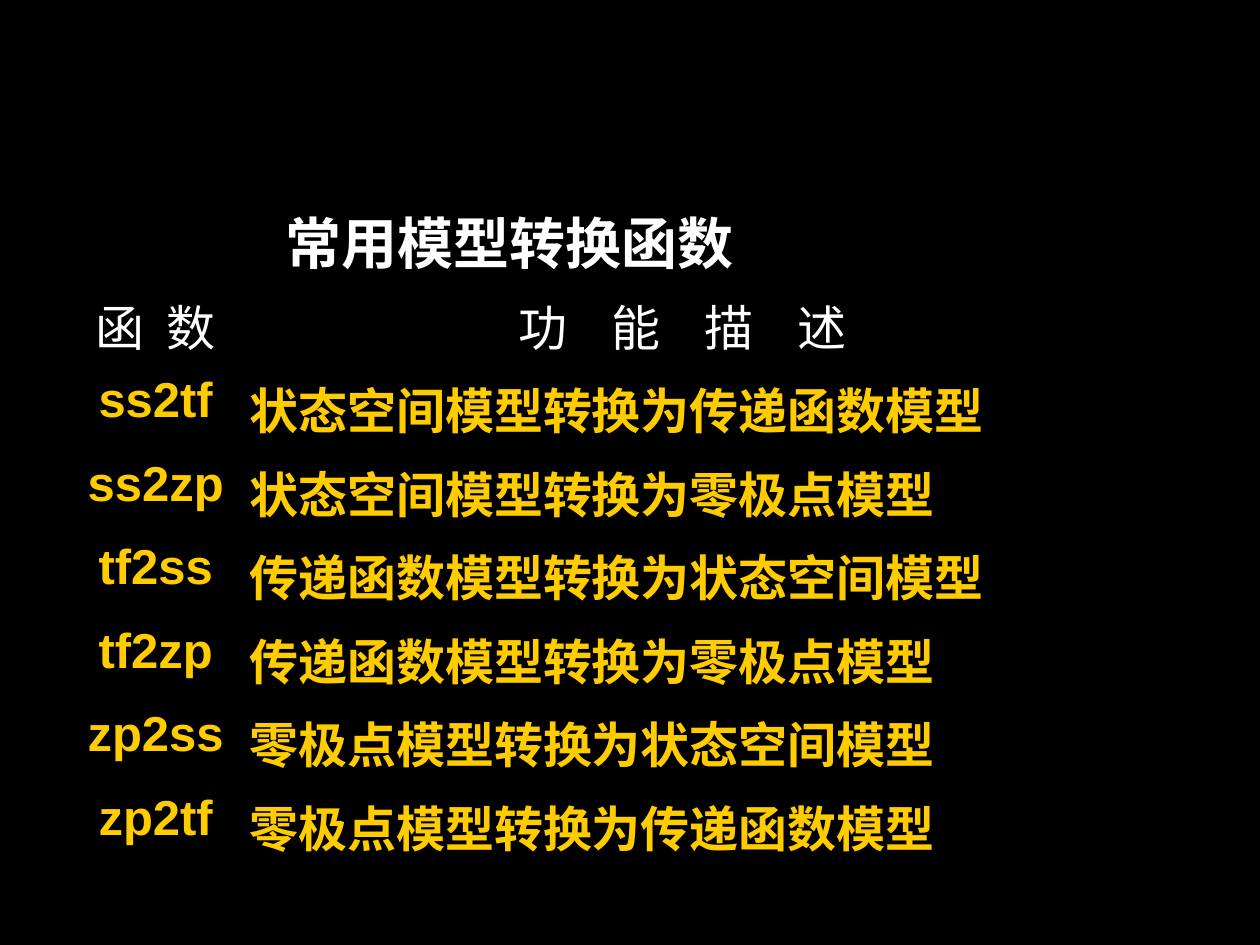
from lxml.etree import SubElement as Sub
from pptx import Presentation
from pptx.dml.color import RGBColor
from pptx.enum.text import PP_ALIGN as Align
from pptx.oxml.ns import qn
from pptx.util import Inches, Pt

TITLE = "常用模型转换函数"
HEAD = [("函 数", 3.1, 0.1), ("功 能 描 述", 9.5, 0.19)]
ROWS = [
    ("ss2tf", "状态空间模型转换为传递函数模型"),
    ("ss2zp", "状态空间模型转换为零极点模型"),
    ("tf2ss", "传递函数模型转换为状态空间模型"),
    ("tf2zp", "传递函数模型转换为零极点模型"),
    ("zp2ss", "零极点模型转换为状态空间模型"),
    ("zp2tf", "零极点模型转换为传递函数模型"),
]
WIDTHS = [1.29, 7.16]
HEIGHT = 4.64
BLACK, WHITE, GOLD = "000000", "FFFFFF", "FFCC00"
THICK, THIN = 1.08, 0.45


def color(code):
    return RGBColor.from_string(code)


def write(frame, text, size, code, bold, before, align, track=0):
    """Fill a text frame with one styled paragraph."""
    frame.word_wrap = True
    para = frame.paragraphs[0]
    para.alignment = align
    para.space_before = Pt(before)
    font = para.font
    font.name, font.size, font.bold = "Arial", Pt(size), bold
    font.color.rgb = color(code)
    run = para.add_run()
    run.text = text
    if track:
        run._r.get_or_add_rPr().set("spc", str(round(track * 100)))
    return para


def border(cell, sides):
    """Draw the four cell borders, given as side and width pairs."""
    props = cell._tc.get_or_add_tcPr()
    for side, width in sides:
        line = Sub(props, qn(f"a:ln{side}"), w=str(Pt(width)))
        fill = Sub(line, qn("a:solidFill"))
        Sub(fill, qn("a:srgbClr"), val=BLACK)


def build_table(slide):
    """Add the table of functions and what they do."""
    last = len(ROWS)
    table = slide.shapes.add_table(
        last + 1, 2, Inches(0.59), Inches(2.25),
        Inches(sum(WIDTHS)), Inches(HEIGHT)).table
    table.first_row = table.horz_banding = False
    for col, width in zip(table.columns, WIDTHS):
        col.width = Inches(width)
    for r in range(last + 1):
        for c in range(2):
            cell = table.cell(r, c)
            edges = [("L", c == 0), ("R", c == 1), ("T", r == 0), ("B", r == last)]
            border(cell, [(s, THICK if outer else THIN) for s, outer in edges])
            cell.fill.background()
            if r == 0:
                text, track, inset = HEAD[c]
                cell.margin_right = Inches(inset)
                write(cell.text_frame, text, 28, WHITE, False, 7, Align.CENTER, track)
            else:
                align = Align.LEFT if c else Align.CENTER
                write(cell.text_frame, ROWS[r - 1][c], 28, GOLD, True, 7, align)


def main():
    deck = Presentation()
    deck.slide_width, deck.slide_height = Inches(10), Inches(7.5)
    slide = deck.slides.add_slide(deck.slide_layouts[6])
    back = slide.background.fill
    back.solid()
    back.fore_color.rgb = color(BLACK)
    box = slide.shapes.add_textbox(
        Inches(1.17), Inches(1.67), Inches(5.75), Inches(0.63))
    para = write(box.text_frame, TITLE, 32, WHITE, True, 8, Align.CENTER)
    para.line_spacing = 0.9
    build_table(slide)
    deck.save("out.pptx")


if __name__ == "__main__":
    main()
